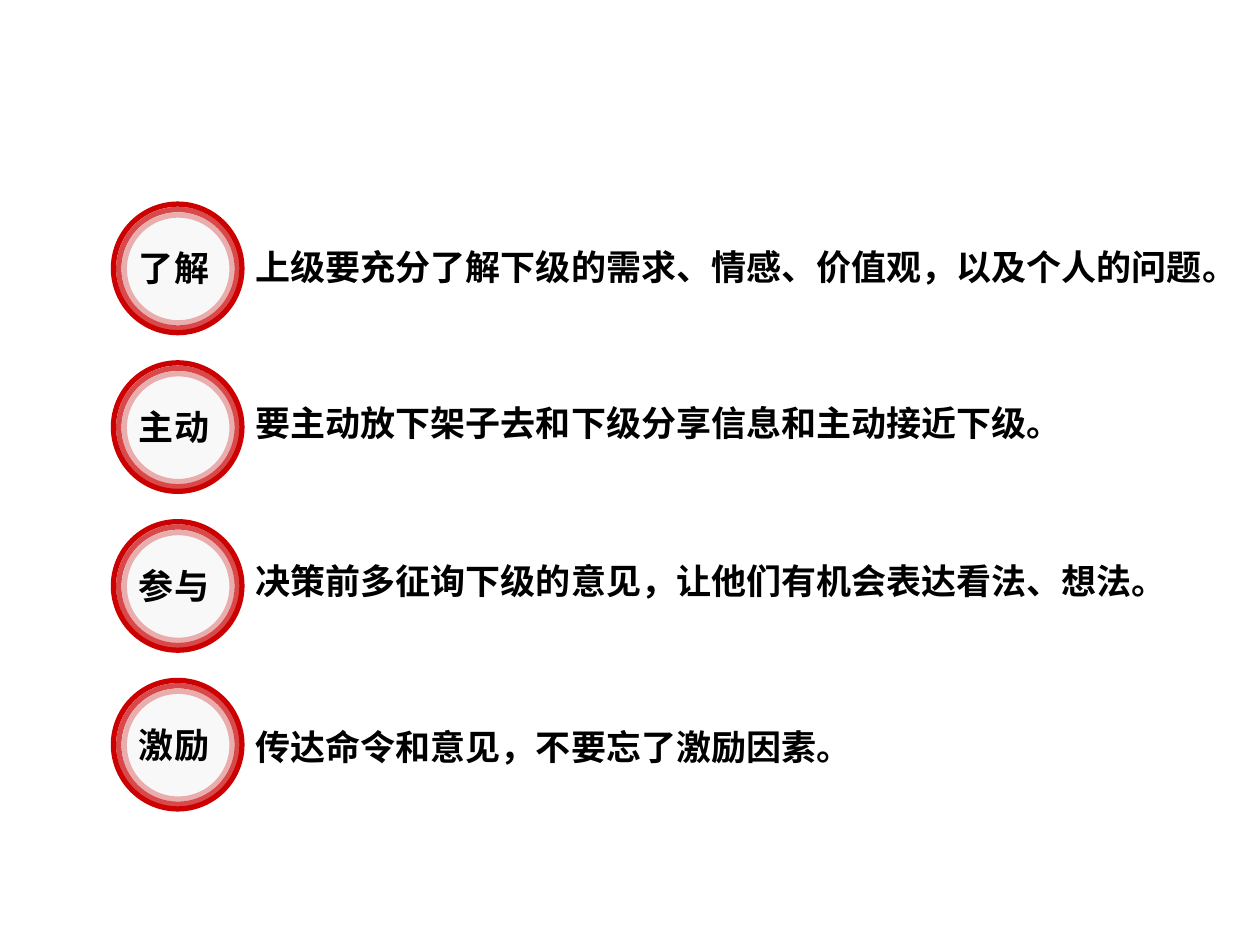
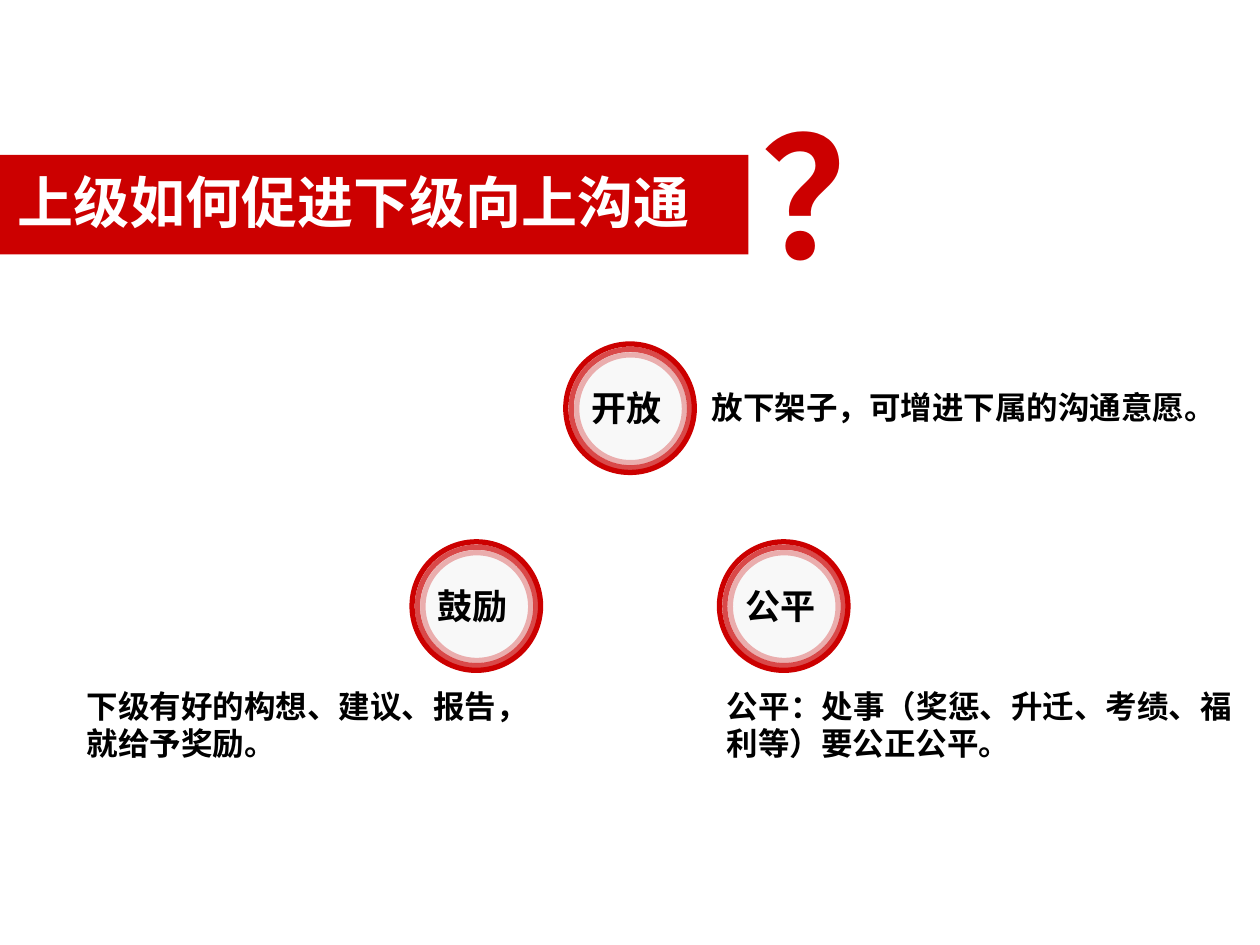
from dataclasses import dataclass

from lxml.etree import SubElement
from pptx import Presentation
from pptx.dml.color import RGBColor
from pptx.enum.shapes import MSO_SHAPE as Preset
from pptx.enum.text import MSO_ANCHOR as Anchor, MSO_AUTO_SIZE as AutoSize, PP_ALIGN as Align
from pptx.oxml.ns import qn
from pptx.util import Inches, Pt


@dataclass(frozen=True)
class Theme:
    red: str = "CC0000"
    disc: str = "F8F8F8"
    ink: str = "000000"
    white: str = "FFFFFF"
    cjk_font: str = "Noto Sans CJK SC"
    latin_font: str = "Arial"
    mark_font: str = "Lato"
    note_size: int = 18
    label_size: int = 20
    title_size: int = 32
    mark_size: int = 96
    ring_width: int = 3


class Deck:
    """Holds the style and the current slide; lengths are cells of a 100 x 75 grid."""

    columns, rows = 100, 75

    def __init__(self, theme):
        self.theme = theme
        self.presentation = Presentation()
        self.presentation.slide_width = Inches(10)
        self.presentation.slide_height = Inches(7.5)

    def new_slide(self):
        self.slide = self.presentation.slides.add_slide(self.presentation.slide_layouts[6])
        self.shapes = self.slide.shapes

    def new_group(self):
        self.shapes = self.slide.shapes.add_group_shape().shapes

    def place(self, left, top, width, height):
        column = self.presentation.slide_width / self.columns
        row = self.presentation.slide_height / self.rows
        return round(left * column), round(top * row), round(width * column), round(height * row)

    def shape(self, preset, box, fill=None, line=None, opacity=100):
        shape = self.shapes.add_shape(preset, *self.place(*box))
        shape.shadow.inherit = False
        if fill:
            shape.fill.solid()
            shape.fill.fore_color.rgb = RGBColor.from_string(fill)
        else:
            shape.fill.background()
        if line:
            shape.line.color.rgb = RGBColor.from_string(line)
            shape.line.width = Pt(self.theme.ring_width)
            if opacity < 100:
                color = shape.line._get_or_add_ln().find(".//" + qn("a:srgbClr"))
                SubElement(color, qn("a:alpha"), val=str(opacity * 1000))
        else:
            shape.line.fill.background()

    def text(self, words, box, size, font=None, color=None, wrap=False, spacing=None,
             align=None, anchor=Anchor.TOP, grow=True):
        frame = self.shapes.add_textbox(*self.place(*box)).text_frame
        frame.word_wrap = wrap
        frame.auto_size = AutoSize.SHAPE_TO_FIT_TEXT if grow else AutoSize.NONE
        frame.vertical_anchor = anchor
        frame.text = words
        paragraph = frame.paragraphs[0]
        paragraph.line_spacing = spacing
        paragraph.alignment = align
        for run in paragraph.runs:
            run.font.size = Pt(size)
            run.font.bold = True
            run.font.name = font or self.theme.cjk_font
            run.font.color.rgb = RGBColor.from_string(color or self.theme.ink)
            SubElement(run.font._element, qn("a:ea"), typeface=self.theme.cjk_font)

    def badge(self, label, left, top):
        """Starts a group with a ringed disc; its note can be added next."""
        theme = self.theme
        self.new_group()
        rings = ((0, 10.2, theme.disc, 100), (0.43, 9.4, None, 70), (0.87, 8.55, None, 30))
        for inset, size, fill, opacity in rings:
            self.shape(Preset.OVAL, (left + inset, top + inset, size, size),
                       fill, theme.red, opacity)
        self.text(label, (left + 1.05, top + 2.9, 7.6, 4.3), theme.label_size, theme.latin_font)

    def title(self, words, mark):
        theme = self.theme
        self.shape(Preset.RECTANGLE, (0, 12.3, 59.4, 7.9), theme.red)
        self.text(words, (0.4, 11.8, 55.9, 8.4), theme.title_size, color=theme.white,
                  wrap=True, anchor=Anchor.MIDDLE, grow=False)
        self.text(mark, (59.4, 6.8, 15.4, 17), theme.mark_size, theme.mark_font, theme.red)


def build_principles(deck):
    # Label, note, note top within the row, note width, line spacing
    principles = (
        ("了解", "上级要充分了解下级的需求、情感、价值观，以及个人的问题。", 2.1, 80.3, 1.2),
        ("主动", "要主动放下架子去和下级分享信息和主动接近下级。", 2.6, 66.3, None),
        ("参与", "决策前多征询下级的意见，让他们有机会表达看法、想法。", 2.5, 74.7, None),
        ("激励", "传达命令和意见，不要忘了激励因素。", 2.4, 50.9, 1.2),
    )
    first_top, pitch = 16.2, 12.6
    deck.new_slide()
    for index, (label, note, offset, width, spacing) in enumerate(principles):
        top = first_top + index * pitch
        deck.badge(label, 9, top)
        deck.text(note, (19.3, top + offset, width, 5 if spacing else 4.3),
                  deck.theme.label_size, spacing=spacing)


def build_upward_talk(deck):
    theme = deck.theme
    center, spread, upper, lower = 44.9, 12.2, 27.3, 43
    deck.new_slide()
    deck.title("上级如何促进下级向上沟通", "？")

    # Triangle of badges, each with its note
    deck.badge("开放", center, upper)
    deck.text("放下架子，可增进下属的沟通意愿。", (55.5, upper + 3, 42.3, 4),
              theme.note_size, theme.latin_font)
    deck.badge("公平", center + spread, lower)
    deck.text("公平：处事（奖惩、升迁、考绩、福利等）要公正公平。", (56.7, lower + 11, 42.1, 7),
              theme.note_size, wrap=True, align=Align.JUSTIFY)
    deck.badge("鼓励", center - spread, lower)
    deck.text("下级有好的构想、建议、报告，就给予奖励。", (5.9, lower + 11, 37.8, 7),
              theme.note_size, theme.latin_font, wrap=True)


def main():
    deck = Deck(Theme())
    build_principles(deck)
    build_upward_talk(deck)
    deck.presentation.save("out.pptx")


if __name__ == "__main__":
    main()
